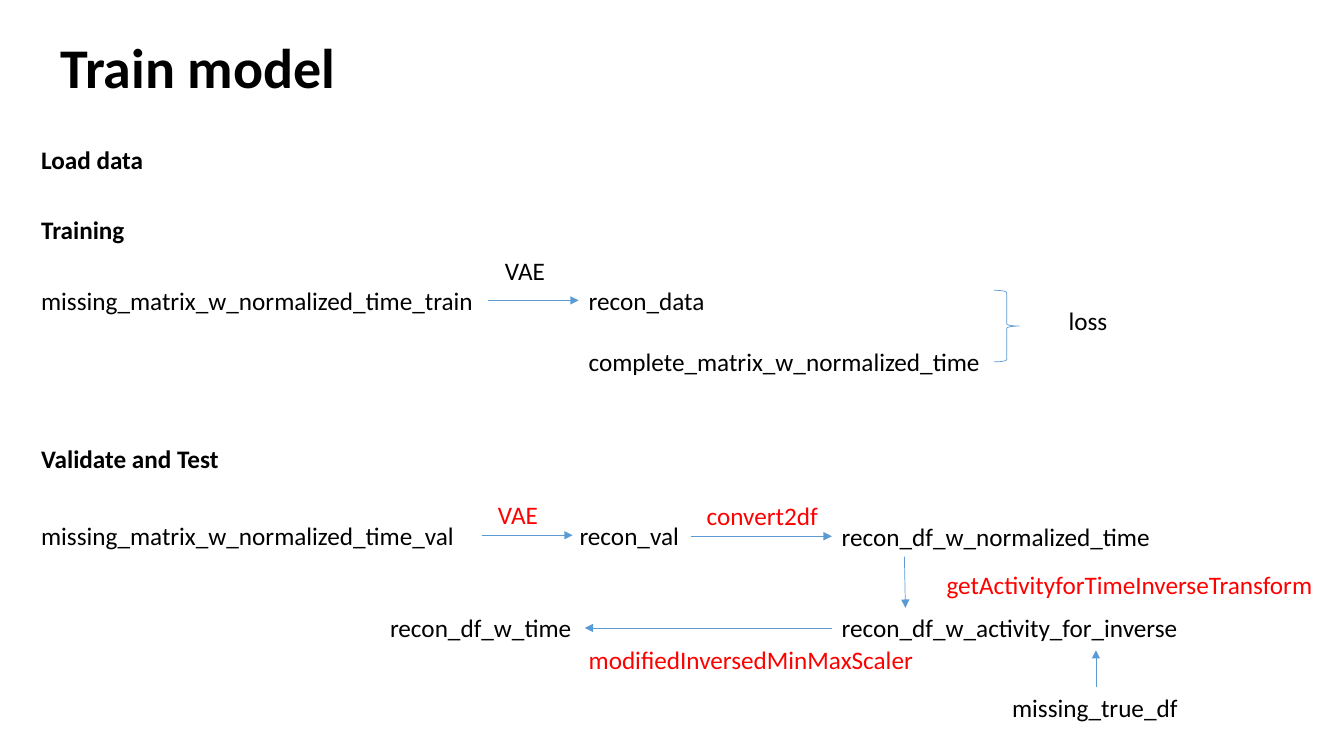
import pptx
import pptx.util
import pptx.dml.color
import pptx.enum.shapes
import pptx.enum.text
import pptx.oxml.ns
import lxml.etree

Inches = pptx.util.Inches
theme = {
    "font": "Calibri",
    "title_size": pptx.util.Pt(40),
    "body_size": pptx.util.Pt(18),
    "line_width": pptx.util.Pt(0.5),
    "text": pptx.dml.color.RGBColor.from_string("000000"),
    "function": pptx.dml.color.RGBColor.from_string("FF0000"),
    "line": pptx.dml.color.RGBColor.from_string("5B9BD5"),
}
label_height = 0.4

presentation = pptx.Presentation()
presentation.slide_width = Inches(13.33)
presentation.slide_height = Inches(7.5)
slide = presentation.slides.add_slide(presentation.slide_layouts[6])


def add_text(text, left, top, width, height=label_height, color="text", size="body_size", bold=False):
    shape = slide.shapes.add_textbox(Inches(left), Inches(top), Inches(width), Inches(height))
    shape.text_frame.word_wrap = True
    paragraph = shape.text_frame.paragraphs[0]
    run = paragraph.add_run()
    run.text = text
    run.font.color.rgb = theme[color]
    for name, value in {"name": theme["font"], "size": theme[size], "bold": bold}.items():
        setattr(run.font, name, value)
    return shape


title = add_text("Train model", 0.5, 0.31, 10, 0.74, size="title_size", bold=True)
title.text_frame.vertical_anchor = pptx.enum.text.MSO_ANCHOR.BOTTOM
title.text_frame.paragraphs[0].line_spacing = 0.9

headings = [
    ("Load data", 1.38, 1.23),
    ("Training", 2.08, 1.04),
    ("Validate and Test", 4.35, 2.81),
]
for text, top, width in headings:
    add_text(text, 0.31, top, width, bold=True)

data_labels = [
    ("missing_matrix_w_normalized_time_train", 0.31, 2.78, 4.53),
    ("recon_data", 5.74, 2.78, 1.36),
    ("complete_matrix_w_normalized_time", 5.74, 3.39, 4.13),
    ("VAE", 4.91, 2.48, 0.75),
    ("loss", 10.5, 2.98, 0.72),
    ("missing_matrix_w_normalized_time_val", 0.31, 5.11, 4.34),
    ("recon_val", 5.65, 5.11, 1.2),
    ("recon_df_w_normalized_time", 8.25, 5.12, 3.3),
    ("recon_df_w_activity_for_inverse", 8.25, 6.03, 3.57),
    ("recon_df_w_time", 3.77, 6.03, 2.02),
    ("missing_true_df", 9.94, 6.82, 1.86),
]
function_labels = [
    ("VAE", 4.84, 4.9, 0.75),
    ("convert2df", 6.91, 4.91, 1.61),
    ("getActivityforTimeInverseTransform", 9.29, 5.6, 3.87),
    ("modifiedInversedMinMaxScaler", 5.74, 6.34, 3.46),
]
for color, labels in (("text", data_labels), ("function", function_labels)):
    for text, left, top, width in labels:
        add_text(text, left, top, width, color=color)

loss_brace = slide.shapes.add_shape(
    pptx.enum.shapes.MSO_SHAPE.RIGHT_BRACE, Inches(9.86), Inches(2.88), Inches(0.25), Inches(0.71)
)
loss_brace.shadow.inherit = False
loss_brace.fill.background()
loss_brace.line.color.rgb = theme["line"]
loss_brace.line.width = theme["line_width"]

arrows = [
    (4.84, 2.98, 5.74, 2.98),
    (4.78, 5.31, 5.68, 5.31),
    (6.85, 5.32, 8.25, 5.32),
    (8.25, 6.23, 5.8, 6.23),
    (8.97, 5.52, 8.98, 6.03),
    (10.87, 6.82, 10.87, 6.45),
]
for ends in arrows:
    arrow = slide.shapes.add_connector(
        pptx.enum.shapes.MSO_CONNECTOR.STRAIGHT, *[Inches(value) for value in ends]
    )
    arrow.line.color.rgb = theme["line"]
    arrow.line.width = theme["line_width"]
    properties = arrow.element.spPr
    line = properties.find(pptx.oxml.ns.qn("a:ln"))
    lxml.etree.SubElement(line, pptx.oxml.ns.qn("a:tailEnd"), type="triangle")
    lxml.etree.SubElement(properties, pptx.oxml.ns.qn("a:effectLst"))

presentation.save("out.pptx")
